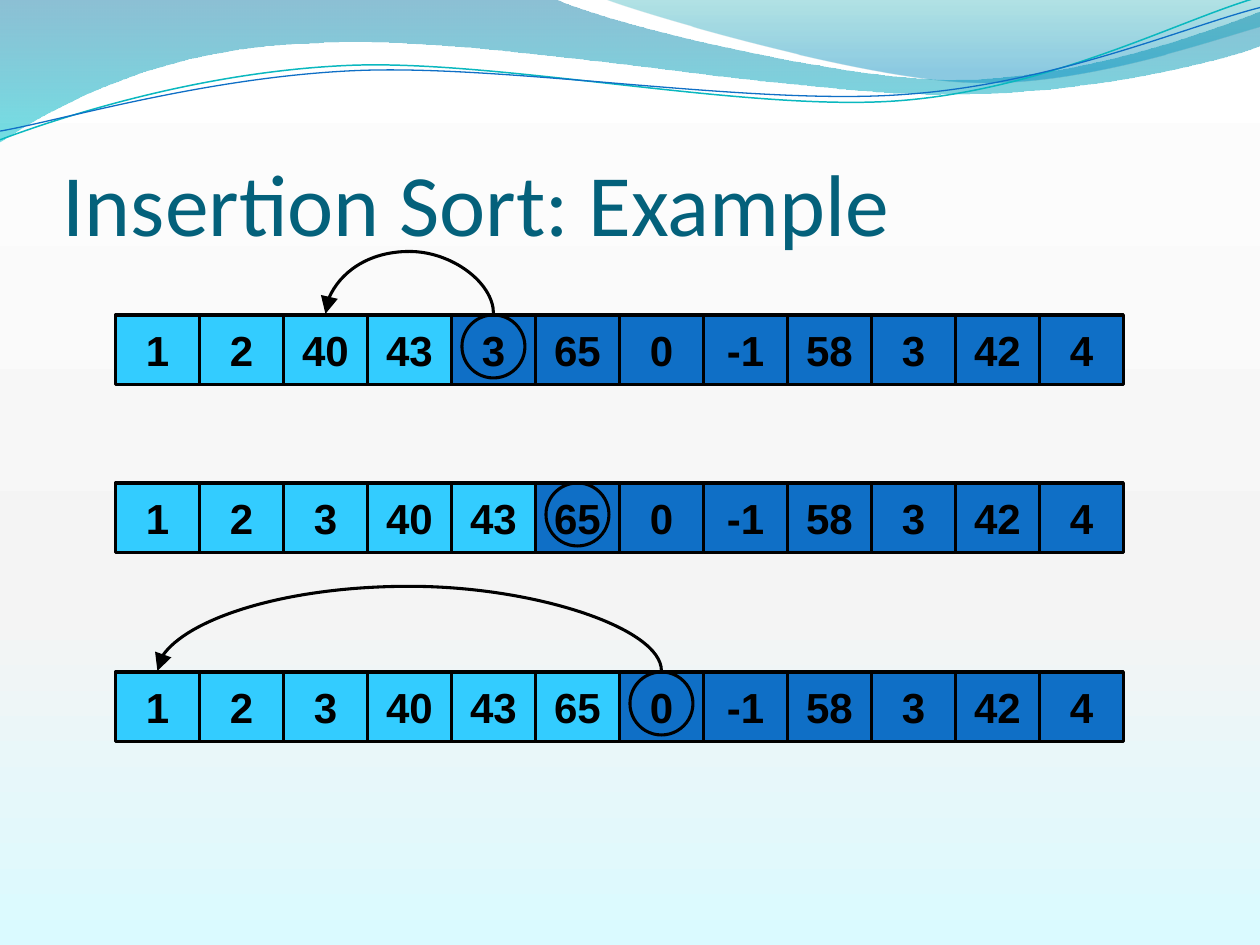
from dataclasses import dataclass
from typing import Optional

from lxml.etree import SubElement
from pptx import Presentation
from pptx.dml.color import RGBColor as Rgb
from pptx.enum.shapes import MSO_CONNECTOR as Connector, MSO_SHAPE as Preset
from pptx.enum.text import MSO_ANCHOR as Anchor, PP_ALIGN as Align
from pptx.oxml.ns import qn
from pptx.util import Pt

COLORS = {
    "sorted": "33CCFF", "unsorted": "0F6FC6", "ink": "000000", "title": "04617B",
    "teal_line": "0AB8BF", "blue_line": "0F6FC6",
    "wave_top": "0074A1", "wave_bottom": "00C6CF",
    "crest_top": "00A1A9", "crest_bottom": "008BBF",
    "page_top": "FFFFFF", "page_middle": "F4F4F4", "page_bottom": "DAFAFF",
}
CELL_LEFT, CELL_WIDTH, CELL_HEIGHT, MARK_SIZE = 66, 48, 39.6, 36
LINE_WIDTH = 1.75
ARC_THICKNESS = 0.12


@dataclass(frozen=True)
class Stop:
    position: int
    color: str
    opacity: int = 100


@dataclass(frozen=True)
class Ribbon:
    """A start point, then straight (x, y) or cubic (six numbers) segments."""
    start: tuple[float, float]
    segments: tuple[tuple[float, ...], ...]
    stops: tuple[Stop, ...] = ()
    line_color: str = ""
    line_width: float = 0


@dataclass(frozen=True)
class SortRow:
    top: float
    values: tuple[int, ...]
    sorted_count: int
    target: Optional[int] = None
    arc_rise: float = 0


PAGE_STOPS = (Stop(0, "page_top", 54), Stop(65, "page_middle"), Stop(100, "page_bottom"))
RIBBONS = (
    Ribbon((0, 0), ((316.8, -0.7), (342.7, 12.2, 478.1, 45.4, 545.8, 45.4),
                    (614.2, 45.4, 689.8, 18.7, 720, 6.5), (720.7, 25.9),
                    (707.8, 31.7, 626.4, 54.7, 537.1, 54),
                    (447.8, 54, 275, 20.2, 185, 24.5),
                    (92.9, 25.9, 33.1, 59.8, -0.7, 81.4)),
           stops=(Stop(0, "wave_top", 45), Stop(100, "wave_bottom", 55))),
    Ribbon((344.9, -0.7), ((366.5, 7.9, 491, 44.6, 553.7, 46.8),
                           (616.3, 49.7, 691.9, 23, 720, 15.1), (720, 0)),
           stops=(Stop(0, "crest_top", 30), Stop(80, "crest_bottom", 45))),
    Ribbon((0, 79.9), ((34.6, 67, 113.8, 41, 199.4, 37.4),
                       (284.4, 33.8, 427, 64.1, 513.4, 57.6),
                       (599.8, 51.1, 675.4, 10.8, 718.6, -1.4)),
           line_color="teal_line", line_width=0.85),
    Ribbon((0, 74.9), ((33.8, 69.1, 118.1, 43.9, 203.8, 40.3),
                       (290.2, 36.7, 429.8, 60.5, 516.2, 54),
                       (601.9, 48.2, 677.5, 15.1, 720, 4.3)),
           line_color="blue_line", line_width=0.75),
)
ROWS = (
    SortRow(276, (1, 2, 3, 40, 43, 65, 0, -1, 58, 3, 42, 4), 5),
    SortRow(180, (1, 2, 40, 43, 3, 65, 0, -1, 58, 3, 42, 4), 4, target=2, arc_rise=37.6),
    SortRow(384, (1, 2, 3, 40, 43, 65, 0, -1, 58, 3, 42, 4), 6, target=0, arc_rise=51),
)


def rgb(name: str) -> Rgb:
    return Rgb.from_string(COLORS[name])


def set_gradient(fill, owner, stops: tuple[Stop, ...]) -> None:
    """Fill from top to bottom; owner is the XML element that holds the fill."""
    fill.gradient()
    fill.gradient_angle = 270
    stop_list = next(owner.iter(qn("a:gsLst")))
    stop_list.clear()
    for stop in stops:
        entry = SubElement(stop_list, qn("a:gs"), pos=str(stop.position * 1000))
        color = SubElement(entry, qn("a:srgbClr"), val=COLORS[stop.color])
        if stop.opacity < 100:
            SubElement(color, qn("a:alpha"), val=str(stop.opacity * 1000))


def set_line(shape, color: str = "ink", width: float = LINE_WIDTH) -> None:
    shape.line.color.rgb = rgb(color)
    shape.line.width = Pt(width)


def format_text(box, size: float, font: str, color: str, bold: bool = False) -> None:
    for para in box.text_frame.paragraphs:
        for span in para.runs:
            span.font.size = Pt(size)
            span.font.name = font
            span.font.bold = bold
            span.font.color.rgb = rgb(color)


def bend_segments(shape, segments: tuple[tuple[float, ...], ...]) -> None:
    """Join the three straight steps of each cubic segment into one curve."""
    steps = iter(list(shape.element.iter(qn("a:lnTo"))))
    for segment in segments:
        first = next(steps)
        if len(segment) == 2:
            continue
        outline = first.getparent()
        curve = SubElement(outline, qn("a:cubicBezTo"))
        first.addprevious(curve)
        for step in (first, next(steps), next(steps)):
            curve.append(step[0])
            outline.remove(step)


def draw_ribbon(page, ribbon: Ribbon) -> None:
    builder = page.shapes.build_freeform(Pt(ribbon.start[0]), Pt(ribbon.start[1]))
    points = [(Pt(x), Pt(y)) for segment in ribbon.segments
              for x, y in zip(segment[::2], segment[1::2])]
    builder.add_line_segments(points, close=bool(ribbon.stops))
    shape = builder.convert_to_shape()
    bend_segments(shape, ribbon.segments)
    shape.shadow.inherit = False
    if ribbon.stops:
        set_gradient(shape.fill, shape.element.spPr, ribbon.stops)
        shape.line.fill.background()
    else:
        shape.fill.background()
        set_line(shape, ribbon.line_color, ribbon.line_width)


def column_center(column: int) -> float:
    return CELL_LEFT + (column + 0.5) * CELL_WIDTH


def draw_cell(page, column: int, top: float, value: int, color: str) -> None:
    box = page.shapes.add_shape(Preset.RECTANGLE, Pt(CELL_LEFT + column * CELL_WIDTH),
                                Pt(top), Pt(CELL_WIDTH), Pt(CELL_HEIGHT))
    box.shadow.inherit = False
    box.fill.solid()
    box.fill.fore_color.rgb = rgb(color)
    set_line(box)
    frame = box.text_frame
    frame.text = str(value)
    frame.word_wrap = False
    frame.vertical_anchor = Anchor.MIDDLE
    frame.paragraphs[0].alignment = Align.CENTER
    format_text(box, 24, "Arial", "ink", bold=True)


def draw_mark(page, column: int, top: float) -> None:
    mark = page.shapes.add_shape(Preset.OVAL, Pt(column_center(column) - MARK_SIZE / 2),
                                 Pt(top), Pt(MARK_SIZE), Pt(MARK_SIZE))
    mark.shadow.inherit = False
    mark.fill.background()
    set_line(mark)


def draw_arc(page, source: int, target: int, top: float, rise: float) -> None:
    """Arrow arching leftwards: a thin upright curve turned by 270 degrees."""
    middle = (column_center(source) + column_center(target)) / 2
    half_span = (column_center(source) - column_center(target)) / 2
    left = middle - ARC_THICKNESS / 2
    arc = page.shapes.add_connector(Connector.CURVE, Pt(left + ARC_THICKNESS), Pt(top + half_span),
                                    Pt(left), Pt(top - half_span))
    set_line(arc)
    properties = arc.element.spPr
    properties.find(qn("a:xfrm")).set("rot", str(270 * 60000))
    adjustments = properties.find(qn("a:prstGeom")).get_or_add_avLst()
    bend = -round(rise / ARC_THICKNESS * 100000)
    SubElement(adjustments, qn("a:gd"), name="adj1", fmla=f"val {bend}")
    SubElement(properties.find(qn("a:ln")), qn("a:tailEnd"), type="triangle", w="lg", len="lg")
    SubElement(properties, qn("a:effectLst"))


def draw_row(page, row: SortRow) -> None:
    for column, value in enumerate(row.values):
        color = "sorted" if column < row.sorted_count else "unsorted"
        draw_cell(page, column, row.top, value, color)
    draw_mark(page, row.sorted_count, row.top)
    if row.target is not None:
        draw_arc(page, row.sorted_count, row.target, row.top - 0.7, row.arc_rise)


def draw_title(page, text: str) -> None:
    box = page.shapes.add_textbox(Pt(36), Pt(55.2), Pt(648), Pt(90))
    frame = box.text_frame
    frame.text = text
    frame.word_wrap = True
    frame.vertical_anchor = Anchor.BOTTOM
    frame.margin_left = frame.margin_right = frame.margin_bottom = 0
    format_text(box, 50, "Calibri", "title")


def main() -> None:
    deck = Presentation()
    deck.slide_width, deck.slide_height = Pt(720), Pt(540)
    page = deck.slides.add_slide(deck.slide_layouts[6])
    set_gradient(page.background.fill, page.element, PAGE_STOPS)
    for ribbon in RIBBONS:
        draw_ribbon(page, ribbon)
    for row in ROWS:
        draw_row(page, row)
    draw_title(page, "Insertion Sort: Example")
    deck.save("out.pptx")


if __name__ == "__main__":
    main()
